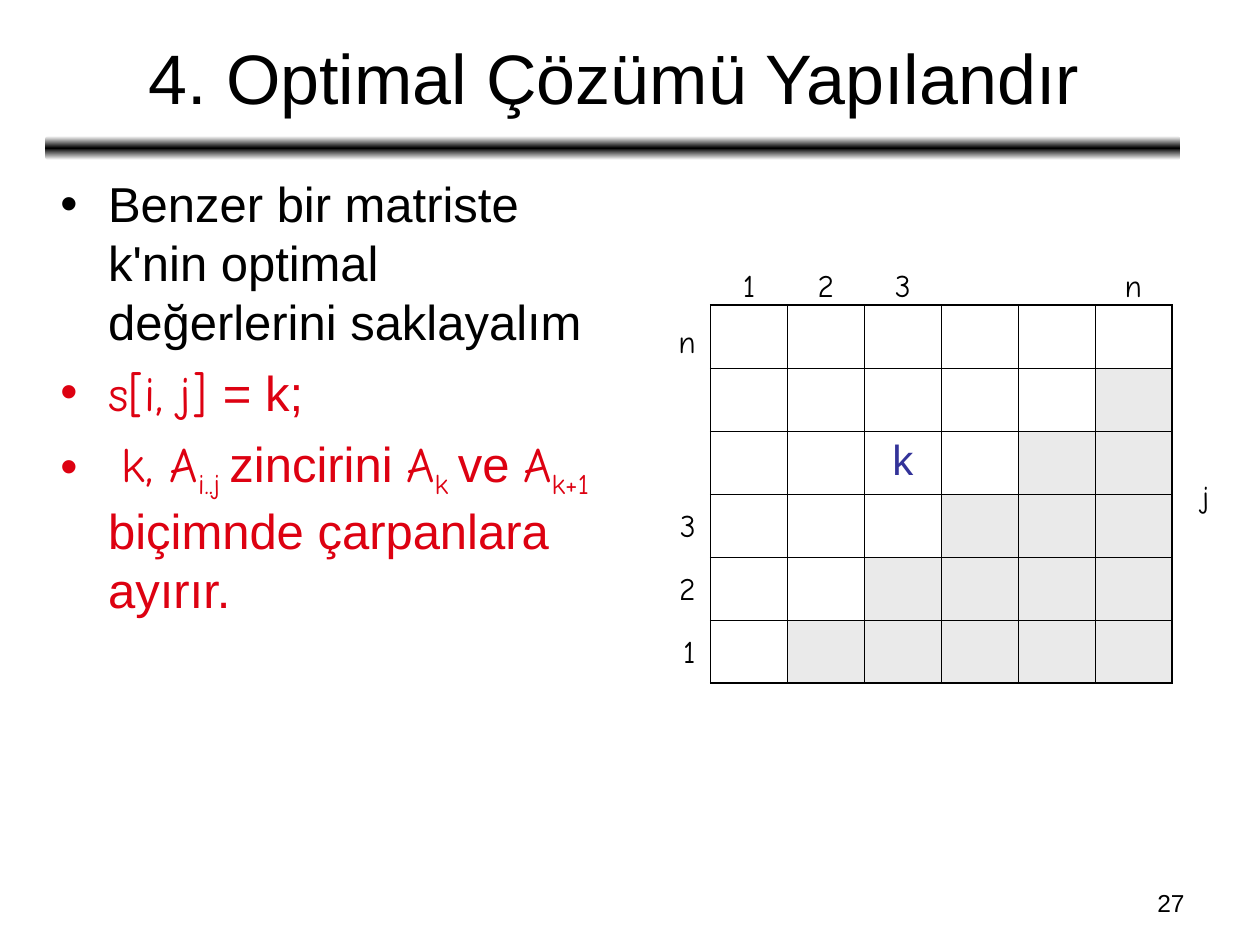
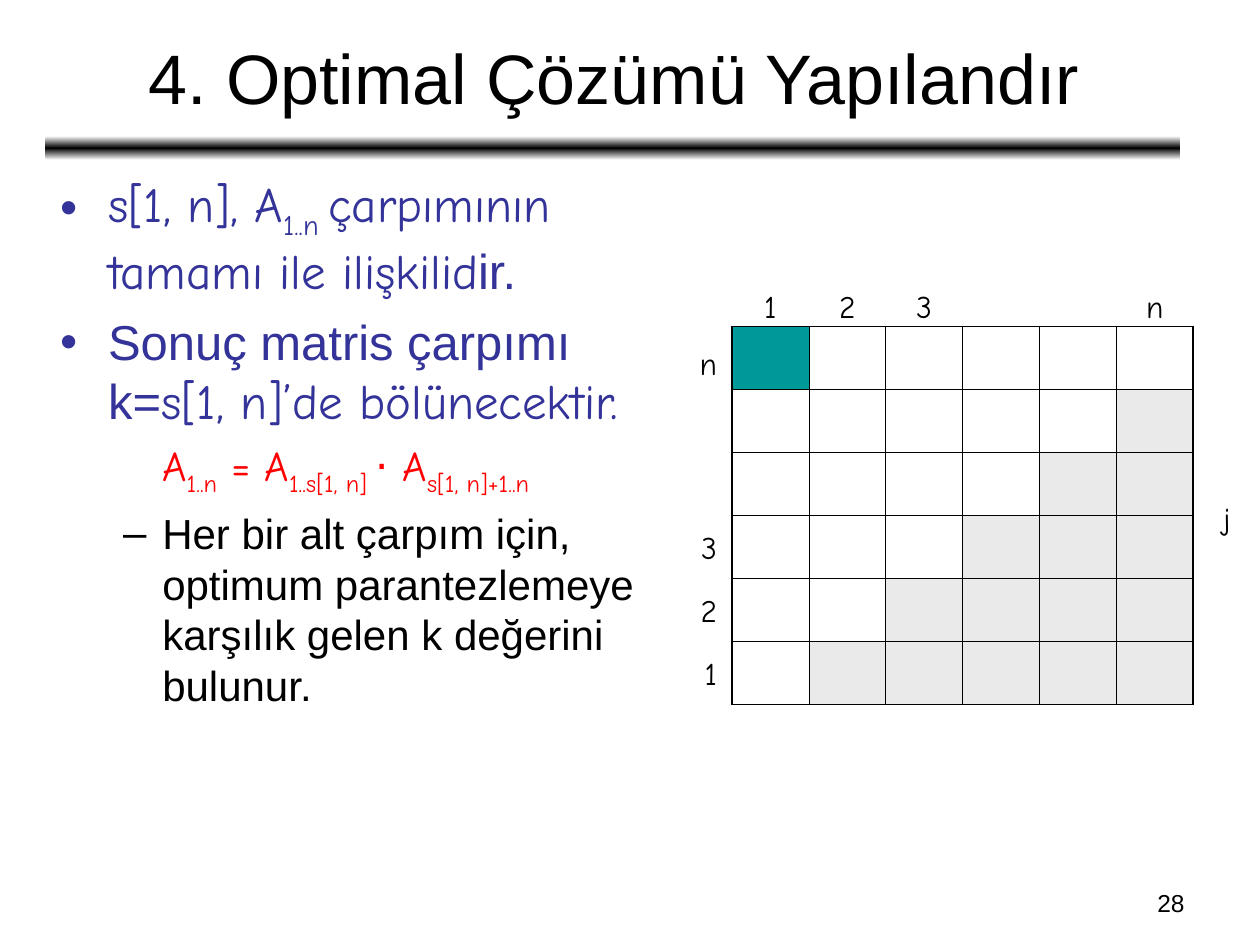
from copy import deepcopy

from pptx import Presentation
from pptx.dml.color import RGBColor
from pptx.enum.shapes import MSO_SHAPE
from pptx.enum.text import MSO_ANCHOR, PP_ALIGN
from pptx.oxml.ns import qn
from pptx.oxml.xmlchemy import OxmlElement
from pptx.util import Inches, Pt

ROUNDED = MSO_SHAPE.ROUNDED_RECTANGLE
MIDDLE = MSO_ANCHOR.MIDDLE
TOP = MSO_ANCHOR.TOP
LEFT, CENTER, RIGHT = PP_ALIGN.LEFT, PP_ALIGN.CENTER, PP_ALIGN.RIGHT

COLORS = {
    "black": "000000", "white": "FFFFFF", "crimson": "DD0111", "red": "FF0000",
    "indigo": "333399", "gray": "EAEAEA", "teal": "009999",
}
SANS, COMIC = "Arial", "Comic Neue"
TITLE = "4. Optimal Çözümü Yapılandır"

LEVELS = {
    "main": {"size": 28, "margin": 0.38, "indent": -0.38, "before": 7, "bullet": "•"},
    "formula": {"size": 24, "margin": 0.81, "indent": 0, "before": 6, "bullet": None},
    "sub": {"size": 24, "margin": 0.81, "indent": -0.31, "before": 6, "bullet": "–"},
}

PAGES = [
    {
        "number": "27",
        "body_width": 4.55,
        "table_at": (5.64, 2.42),
        "mark": {"cell": (2, 2), "text": "k"},
        "body": [
            ("main", "black", [("Benzer bir matriste k'nin optimal değerlerini saklayalım", SANS)]),
            ("main", "crimson", [("s[i, j] ", COMIC), ("= k;", SANS)]),
            ("main", "crimson", [
                (" ", SANS), ("k, A", COMIC), ("i..j ", COMIC, "low"),
                ("zincirini ", SANS), ("A", COMIC), ("k ", COMIC, "low"),
                ("ve ", SANS), ("A", COMIC), ("k+1 ", COMIC, "low"),
                ("biçimnde çarpanlara ayırır.", SANS),
            ]),
        ],
    },
    {
        "number": "28",
        "body_width": 4.9,
        "table_at": (5.81, 2.59),
        "mark": {"cell": (0, 0), "fill": "teal"},
        "body": [
            ("main", "indigo", [
                ("s[1, n], A", COMIC), ("1..n ", COMIC, "low"),
                ("çarpımının tamamı ile ilişkilid", COMIC), ("ir.", SANS),
            ]),
            ("main", "indigo", [
                ("Sonuç matris çarpımı k=", SANS), ("s[1, n]’de bölünecektir.", COMIC),
            ]),
            ("formula", "red", [
                ("A", COMIC), ("1..n", COMIC, "low"), (" = A", COMIC),
                ("1..s[1, n] ", COMIC, "low"), ("⋅", SANS), (" A", COMIC),
                ("s[1, n]+1..n", COMIC, "low"),
            ]),
            ("sub", "black", [
                ("Her bir alt çarpım için, optimum parantezlemeye "
                 "karşılık gelen k değerini bulunur.", SANS),
            ]),
        ],
    },
]

GRID = 6
CELL_WIDTH, CELL_HEIGHT = 0.61, 0.5
OUTER_LINE, INNER_LINE = 1.08, 0.45
COLUMN_LABELS = [(0, "1"), (1, "2"), (2, "3"), (5, "n")]
ROW_LABELS = [(0.08, "n"), (3, "3"), (4, "2"), (5, "1")]
LABEL_WIDTH, LABEL_HEIGHT = 0.34, 0.4


def rgb(name):
    return RGBColor.from_string(COLORS[name])


def style(font, name, size, color):
    font.name = name
    font.size = Pt(size)
    font.color.rgb = rgb(color)


def add_text(page, at, text, name, size, align, wrap=True):
    box = page.shapes.add_textbox(*map(Inches, at))
    frame = box.text_frame
    frame.word_wrap = wrap
    frame.text = text
    para = frame.paragraphs[0]
    para.alignment = align
    style(para.runs[0].font, name, size, "black")


def add_band(page):
    band = page.shapes.add_shape(ROUNDED, *map(Inches, (0.36, 1.08, 9.01, 0.19)))
    band.shadow.inherit = False
    band.line.fill.background()
    band.fill.gradient()
    band.fill.gradient_angle = 90
    stops = band._element.spPr.find(".//" + qn("a:gsLst"))
    stops.append(deepcopy(stops[0]))
    shades = ((0, "white"), (0.5, "black"), (1, "white"))
    for stop, (position, color) in zip(band.fill.gradient_stops, shades):
        stop.position = position
        stop.color.rgb = rgb(color)


def add_title(page):
    title = page.shapes.title
    title.left, title.top, title.width, title.height = map(Inches, (0.37, 0.11, 9, 0.99))
    frame = title.text_frame
    frame.text = TITLE
    frame.vertical_anchor = MIDDLE
    para = frame.paragraphs[0]
    para.alignment = CENTER
    style(para.runs[0].font, SANS, 40, "black")


def set_bullet(para, level, color):
    properties = para._p.get_or_add_pPr()
    properties.set("marL", str(Inches(level["margin"])))
    properties.set("indent", str(Inches(level["indent"])))
    if not level["bullet"]:
        properties.append(OxmlElement("a:buNone"))
        return
    tint = OxmlElement("a:buClr")
    value = OxmlElement("a:srgbClr")
    value.set("val", COLORS[color])
    tint.append(value)
    typeface = OxmlElement("a:buFont")
    typeface.set("typeface", SANS)
    bullet = OxmlElement("a:buChar")
    bullet.set("char", level["bullet"])
    for part in (tint, typeface, bullet):
        properties.append(part)


def add_body(page, width, paragraphs):
    box = page.shapes.add_textbox(*map(Inches, (0.38, 1.33, width, 5.55)))
    frame = box.text_frame
    frame.word_wrap = True
    for index, (kind, color, spans) in enumerate(paragraphs):
        level = LEVELS[kind]
        para = frame.add_paragraph() if index else frame.paragraphs[0]
        para.alignment = LEFT
        para.space_before = Pt(level["before"] if index else 0)
        set_bullet(para, level, color)
        for text, name, *low in spans:
            span = para.add_run()
            span.text = text
            style(span.font, name, level["size"], color)
            if low:
                span._r.get_or_add_rPr().set("baseline", "-25000")


def set_borders(cell, row, column):
    edges = {
        "a:lnL": column == 0,
        "a:lnR": column == GRID - 1,
        "a:lnT": row == 0,
        "a:lnB": row == GRID - 1,
    }
    properties = cell._tc.get_or_add_tcPr()
    for tag, outer in edges.items():
        line = OxmlElement(tag)
        line.set("w", str(Pt(OUTER_LINE if outer else INNER_LINE)))
        fill = OxmlElement("a:solidFill")
        value = OxmlElement("a:srgbClr")
        value.set("val", COLORS["black"])
        fill.append(value)
        line.append(fill)
        properties.append(line)


def add_matrix(page, left, top, mark):
    width, height = GRID * CELL_WIDTH, GRID * CELL_HEIGHT
    table = page.shapes.add_table(
        GRID, GRID, *map(Inches, (left, top, width, height))).table
    table.first_row = False
    table.horz_banding = False
    for column in table.columns:
        column.width = Inches(CELL_WIDTH)
    for row in range(GRID):
        table.rows[row].height = Inches(CELL_HEIGHT)
        for column in range(GRID):
            cell = table.cell(row, column)
            set_borders(cell, row, column)
            fill = "gray" if row + column >= GRID else None
            if (row, column) == mark["cell"]:
                fill = mark.get("fill")
            if fill:
                cell.fill.solid()
                cell.fill.fore_color.rgb = rgb(fill)
            else:
                cell.fill.background()

    if "text" in mark:
        cell = table.cell(*mark["cell"])
        cell.vertical_anchor = TOP
        cell.text_frame.text = mark["text"]
        para = cell.text_frame.paragraphs[0]
        para.alignment = CENTER
        style(para.runs[0].font, SANS, 24, "indigo")

    labels = [(text, (column + 0.5) * CELL_WIDTH - LABEL_WIDTH / 2, -0.36, CENTER)
              for column, text in COLUMN_LABELS]
    labels += [(text, -0.02 - LABEL_WIDTH, (row + 0.5) * CELL_HEIGHT - LABEL_HEIGHT / 2, RIGHT)
               for row, text in ROW_LABELS]
    labels.append(("j", width + 0.14, (height - LABEL_HEIGHT) / 2 + 0.02, LEFT))
    for text, across, down, align in labels:
        at = (left + across, top + down, LABEL_WIDTH, LABEL_HEIGHT)
        add_text(page, at, text, COMIC, 18, align, wrap=False)


def main():
    deck = Presentation()
    deck.slide_width, deck.slide_height = Inches(10), Inches(7.5)
    for content in PAGES:
        page = deck.slides.add_slide(deck.slide_layouts[5])
        add_band(page)
        add_text(page, (7.17, 7, 2.33, 0.35), content["number"], SANS, 14, RIGHT)
        add_title(page)
        add_body(page, content["body_width"], content["body"])
        add_matrix(page, *content["table_at"], content["mark"])
    deck.save("out.pptx")


if __name__ == "__main__":
    main()
